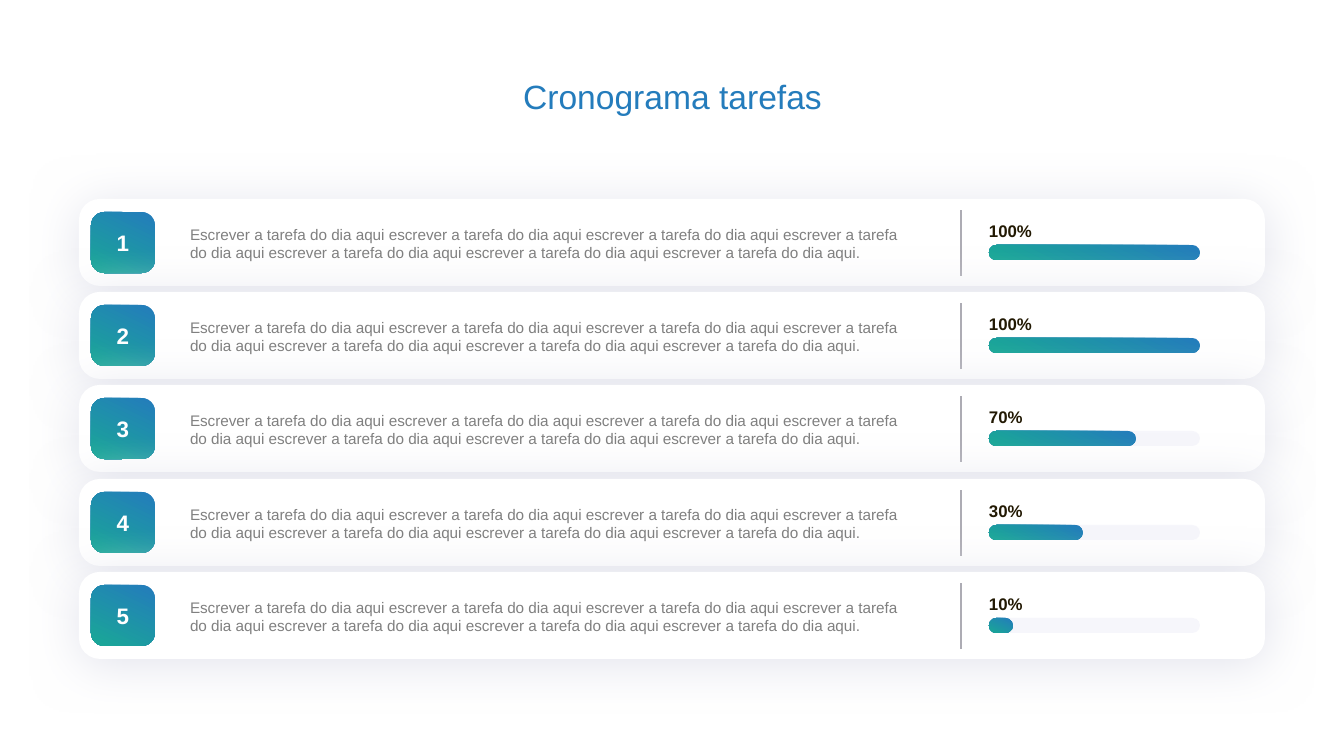
import pptx
import pptx.util
import pptx.dml.color
import pptx.enum.shapes
import pptx.enum.text
import pptx.oxml.ns
from lxml import etree

PX = 914400 / 134.4
THEME = {
    "blue": "247CBC", "green": "19A896", "white": "FFFFFF", "shadow": "E3E4ED",
    "divider": "ADACB4", "body": "808080", "percent": "221903", "track": "F6F6FB",
    "font": "Arial", "title_size": 18, "number_size": 12, "body_size": 8.2, "percent_size": 9,
}
RGB = pptx.dml.color.RGBColor.from_string
ALIGN = pptx.enum.text.PP_ALIGN
ANCHOR = pptx.enum.text.MSO_ANCHOR
qn = pptx.oxml.ns.qn


def add_box(x, y, w, h, radius, fill):
    sp = s.shapes.add_shape(pptx.enum.shapes.MSO_SHAPE.ROUNDED_RECTANGLE,
                            *[round(v * PX) for v in (x, y, w, h)])
    sp.adjustments[0] = radius
    sp.line.fill.background()
    sp.shadow.inherit = False
    if fill == "gradient":
        sp.fill.gradient()
        sp.fill.gradient_angle = 244
        for stop, color in zip(sp.fill.gradient_stops, ("blue", "green")):
            stop.color.rgb = RGB(THEME[color])
    else:
        sp.fill.solid()
        sp.fill.fore_color.rgb = RGB(THEME[fill])
    return sp


def write(sp, text, size, color, bold=False, align=ALIGN.LEFT, anchor=ANCHOR.MIDDLE,
          inset=3, wrap=True):
    tf = sp.text_frame
    tf.word_wrap = wrap
    tf.vertical_anchor = anchor
    tf.margin_left = tf.margin_right = tf.margin_top = tf.margin_bottom = round(inset * PX)
    p = tf.paragraphs[0]
    p.alignment = align
    r = p.add_run()
    r.text = text
    r.font.name = THEME["font"]
    r.font.size = pptx.util.Pt(THEME[size])
    r.font.bold = bold
    r.font.color.rgb = RGB(THEME[color])


prs = pptx.Presentation()
prs.slide_width = round(1344 * PX)
prs.slide_height = round(756 * PX)
s = prs.slides.add_slide(prs.slide_layouts[6])

title = s.shapes.add_textbox(*[round(v * PX) for v in (507, 69, 331, 54)])
write(title, "Cronograma tarefas", "title_size", "blue", align=ALIGN.CENTER, wrap=False)

tasks = [("100%", 211), ("100%", 211), ("70%", 147), ("30%", 94), ("10%", 24)]
tops = [199 + i * 467 // 5 for i in range(len(tasks))]
phrase = "screver a tarefa do dia aqui"
description = "E" + " e".join([phrase] * 7) + "."

for number, (top, (percent, done)) in enumerate(zip(tops, tasks), 1):
    card = add_box(79, top, 1186, 87, 0.24, "white")
    effects = card._element.spPr.find(qn("a:effectLst"))
    shadow = etree.SubElement(effects, qn("a:outerShdw"), blurRad=str(pptx.util.Pt(27)),
                              dist=str(pptx.util.Pt(2)), dir="5400000",
                              algn="t", rotWithShape="0")
    etree.SubElement(shadow, qn("a:srgbClr"), val=THEME["shadow"])

    badge = add_box(91, top + 13, 64, 61, 0.22, "gradient")
    write(badge, str(number), "number_size", "white", bold=True, align=ALIGN.CENTER, inset=0)

    divider = s.shapes.add_connector(pptx.enum.shapes.MSO_CONNECTOR.STRAIGHT,
                                     *[round(v * PX) for v in (961, top + 77, 961, top + 11)])
    divider.line.color.rgb = RGB(THEME["divider"])
    divider.line.width = pptx.util.Pt(1)
    etree.SubElement(divider._element.spPr, qn("a:effectLst"))

    label = s.shapes.add_textbox(*[round(v * PX) for v in (986, top + 19, 118, 26)])
    write(label, percent, "percent_size", "percent", bold=True)

    add_box(989, top + 46, 211, 15, 0.5, "track")
    add_box(989, top + 46, done, 15, 0.5, "gradient")

for top in tops:
    task = s.shapes.add_textbox(*[round(v * PX) for v in (187, top + 23, 726, 43)])
    write(task, description, "body_size", "body", anchor=ANCHOR.TOP)

prs.save("out.pptx")
